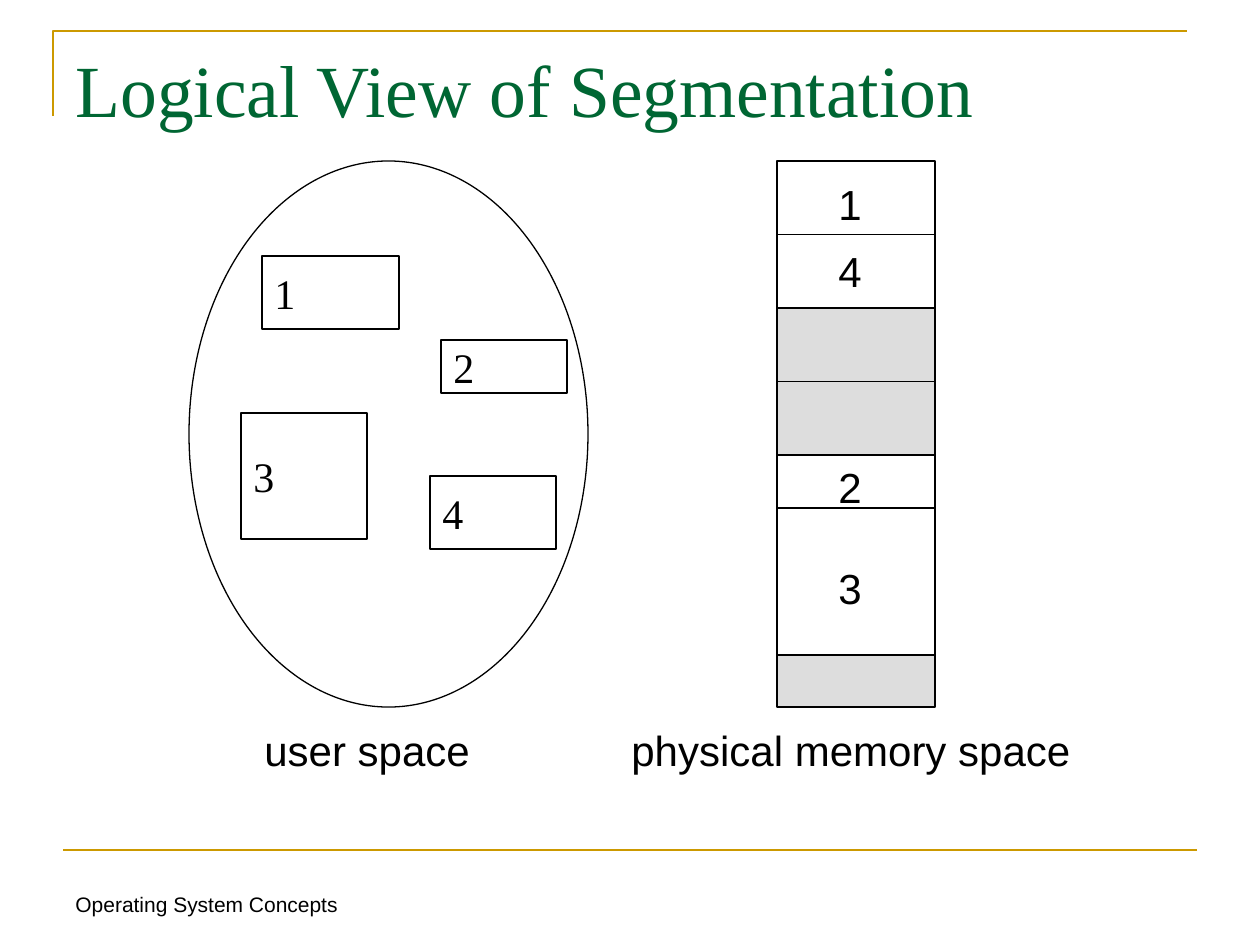
import pptx
import pptx.dml.color
import pptx.enum.shapes
import pptx.enum.text
import pptx.oxml.ns
import pptx.util
from lxml import etree

SHAPE = pptx.enum.shapes.MSO_SHAPE
ANCHOR = pptx.enum.text.MSO_ANCHOR
ALIGN = pptx.enum.text.PP_ALIGN
SERIF, SANS = "Times New Roman", "Arial"
BLACK, WHITE, GRAY, GOLD, GREEN = "000000", "FFFFFF", "DDDDDD", "CC9900", "006633"


def px(n):
    return pptx.util.Emu(round(n * 914400 / 126))


def color(value):
    return pptx.dml.color.RGBColor.from_string(value)


def set_line(sp, value, width):
    sp.line.color.rgb = color(value)
    sp.line.width = pptx.util.Pt(width)


def set_text(sp, text, size, font, value=BLACK, anchor=ANCHOR.MIDDLE):
    tf = sp.text_frame
    tf.word_wrap = True
    tf.vertical_anchor = anchor
    p = tf.paragraphs[0]
    p.text = text
    p.alignment = ALIGN.LEFT
    p.font.size = pptx.util.Pt(size)
    p.font.name = font
    p.font.color.rgb = color(value)


def add_block(shapes, kind, x, y, w, h, fill=WHITE):
    sp = shapes.add_shape(kind, px(x), px(y), px(w), px(h))
    sp.shadow.inherit = False
    sp.fill.solid()
    sp.fill.fore_color.rgb = color(fill)
    set_line(sp, BLACK, 0.75)
    return sp


def add_rule(shapes, x, y, w, value=BLACK, width=0.75):
    line = shapes.add_connector(pptx.enum.shapes.MSO_CONNECTOR.STRAIGHT,
                                px(x), px(y), px(x + w), px(y))
    set_line(line, value, width)
    etree.SubElement(line._element.spPr, pptx.oxml.ns.qn("a:effectLst"))
    return line


def add_label(shapes, text, x, y, w, h=63, size=24, anchor=ANCHOR.MIDDLE):
    sp = shapes.add_textbox(px(x), px(y), px(w), px(h))
    set_text(sp, text, size, SANS, anchor=anchor)


def add_frame(slide, x, y, w):
    """Corner line, bottom rule, title and footer."""
    builder = slide.shapes.build_freeform(px(x), px(y + 85), scale=1.0)
    builder.add_line_segments([(px(x), px(y)), (px(x + w), px(y))], close=False)
    corner = builder.convert_to_shape()
    corner.shadow.inherit = False
    corner.fill.background()
    set_line(corner, GOLD, 1.5)
    add_rule(slide.shapes, x + 10, y + 819, w, GOLD, 1.5)
    add_label(slide.shapes, "Operating System Concepts", x + 10, y + 829, 294,
              size=12, anchor=ANCHOR.BOTTOM)
    title = slide.shapes.title
    title.left, title.top, title.width, title.height = (
        px(x + 10), px(y + 7), px(w), px(157))
    set_text(title, "Logical View of Segmentation", 42, SERIF, GREEN, ANCHOR.TOP)


def add_user_space(slide, x, y, w, h):
    """Ellipse holding the numbered segments."""
    add_block(slide.shapes, SHAPE.OVAL, x, y, w, h)
    segments = [("1", 73, 95, 137, 73), ("3", 52, 252, 126, 126),
                ("2", 252, 179, 126, 53), ("4", 241, 315, 126, 73)]
    for text, dx, dy, sw, sh in segments:
        sp = add_block(slide.shapes, SHAPE.RECTANGLE, x + dx, y + dy, sw, sh)
        set_text(sp, text, 24, SERIF)
    add_label(slide.shapes, "user space", x + 63, y + h + 11, 242)


def add_memory(slide, x, y, w, h):
    """Column of memory blocks with dividers and segment numbers."""
    shapes = slide.shapes.add_group_shape().shapes
    # Offset, height, fill
    for dy, bh, fill in [(0, 147, WHITE), (147, 147, GRAY),
                         (294, 200, WHITE), (494, h - 494, GRAY)]:
        sp = add_block(shapes, SHAPE.RECTANGLE, x, y + dy, w, bh, fill)
        if bh == 147:  # halved block
            line = add_rule(shapes, x, y + dy + bh / 2, w)
            line.begin_connect(sp, 1)
            line.end_connect(sp, 3)
    add_rule(shapes, x, y + 347, w)
    for text, dy in [("1", 11), ("4", 78), ("2", 294), ("3", 395)]:
        add_label(shapes, text, x + 49, y + dy, 50)
    add_label(slide.shapes, "physical memory space", x - 158, y + h + 11, 472)


def main():
    prs = pptx.Presentation()
    prs.slide_width, prs.slide_height = px(1260), px(945)
    slide = prs.slides.add_slide(prs.slide_layouts[5])
    add_frame(slide, 53, 31, 1134)
    add_user_space(slide, 189, 161, 399, 546)
    add_memory(slide, 777, 161, 158, 546)
    prs.save("out.pptx")


if __name__ == "__main__":
    main()
